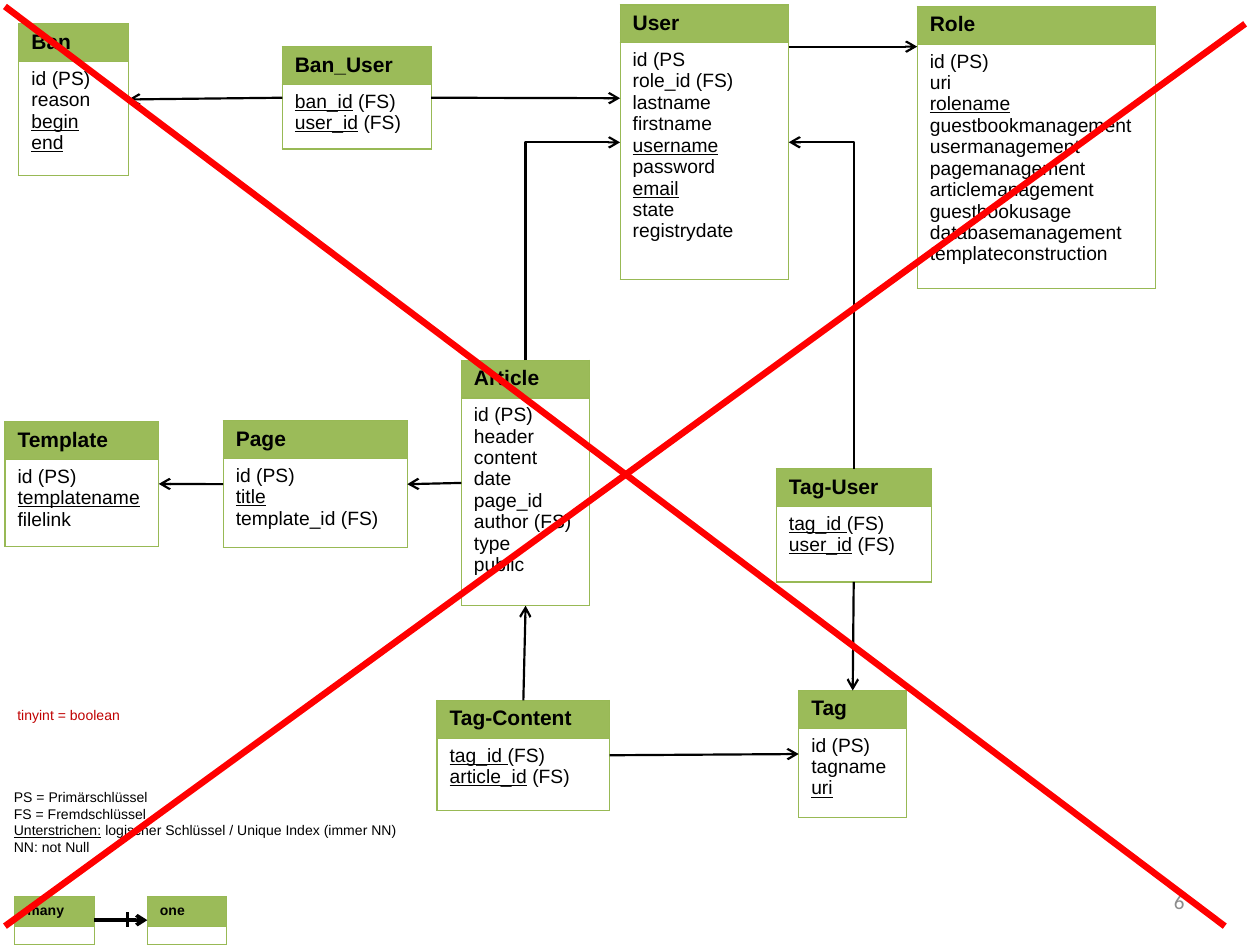
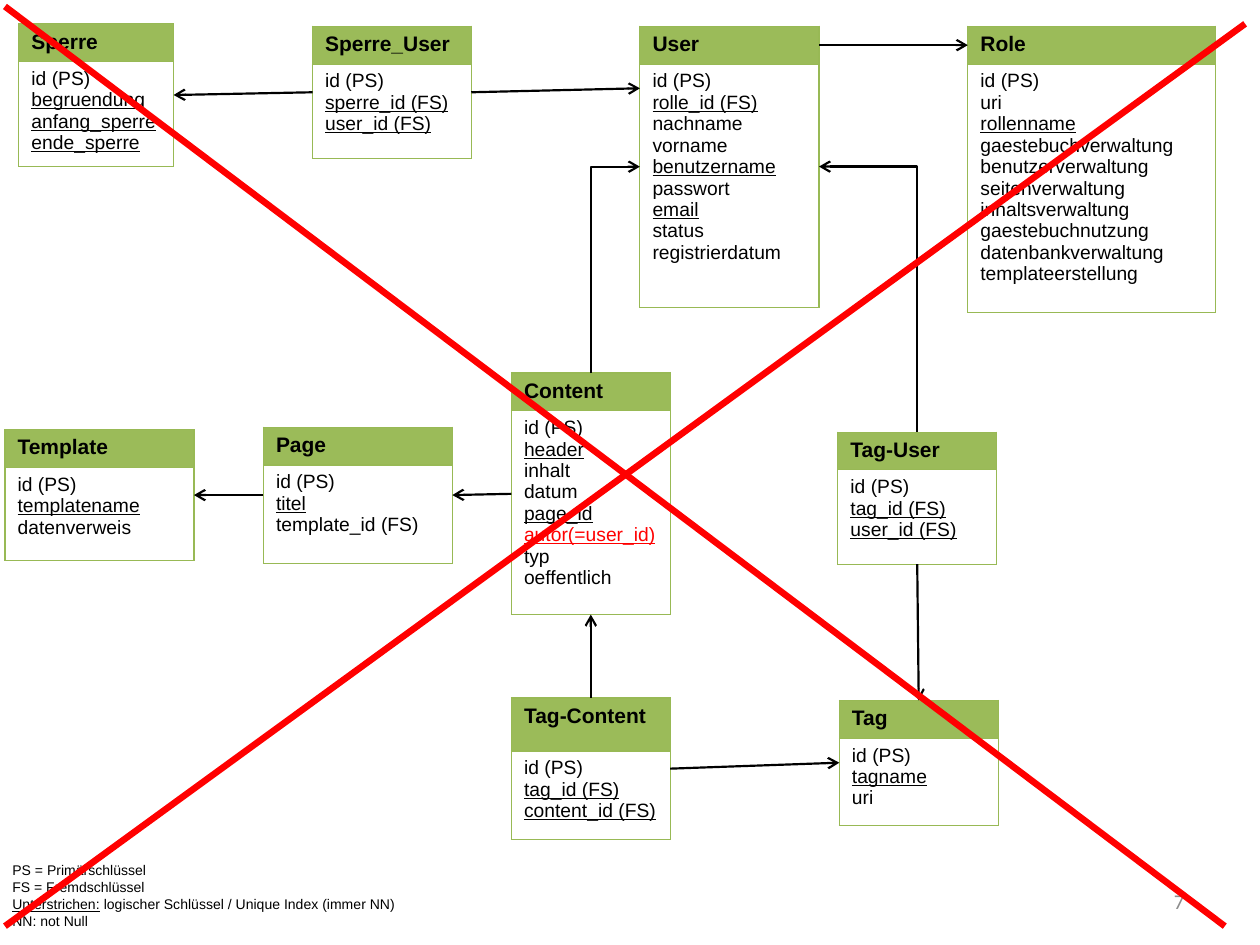
"""Draw two crossed-out database schemas, one in English and one in German."""
from dataclasses import dataclass
from typing import Any

from lxml.etree import SubElement as Sub
from pptx import Presentation
from pptx.dml.color import RGBColor as Rgb
from pptx.enum.shapes import MSO_CONNECTOR as Kind
from pptx.enum.text import MSO_ANCHOR as Anchor, PP_ALIGN as Align
from pptx.oxml.ns import qn
from pptx.util import Cm, Pt

HUES = {
    "head": "9BBB59",
    "edge": "98B955",
    "ink": "000000",
    "alert": "FF0000",
    "note": "C00000",
    "page": "8C8C8C",
}
TOP, LEFT, BOTTOM, RIGHT = range(4)
LINKS = (
    ("ban_user", LEFT, "ban", RIGHT),
    ("tag_user", BOTTOM, "tag", TOP),
    ("tag_text", RIGHT, "tag", LEFT),
    ("tag_text", TOP, "text", BOTTOM),
    ("text", LEFT, "page", RIGHT),
    ("page", LEFT, "form", RIGHT),
)
CROSS = ((0.1, 0.13, 24.69, 18.67), (0.1, 18.67, 25.1, 0.48))
LEGEND = (
    "PS = Primärschlüssel",
    "FS = Fremdschlüssel",
    "*Unterstrichen:* logischer Schlüssel / Unique Index (immer NN)",
    "NN: not Null",
)


@dataclass(frozen=True)
class Box:
    """An entity; text between stars is underlined, a leading ! makes it red."""
    key: str
    name: str
    left: float
    top: float
    width: float
    body: float
    rows: tuple[str, ...] = ()
    head: float = 0.76
    size: int = 12

    def mid(self, side: int) -> tuple[float, float]:
        """Return the middle of one side."""
        tall = self.head + self.body
        x = {LEFT: 0, RIGHT: self.width}.get(side, self.width / 2)
        y = {TOP: 0, BOTTOM: tall}.get(side, tall / 2)
        return self.left + x, self.top + y


@dataclass(frozen=True)
class Sheet:
    """One schema slide."""
    page: str
    boxes: tuple[Box, ...]
    user_y: float
    role_y: float
    legend: tuple[float, float]


ENGLISH = Sheet("6", (
    Box("ban_user", "Ban_User", 5.69, 0.94, 3, 1.3,
        ("*ban_id* (FS)", "*user_id* (FS)")),
    Box("ban", "Ban", 0.38, 0.48, 2.21, 2.29,
        ("id (PS)", "reason", "*begin", "*end")),
    Box("one", "one", 2.97, 18.08, 1.6, 0.36, head=0.58, size=8),
    Box("many", "many", 0.3, 18.08, 1.6, 0.36, head=0.58, size=8),
    Box("user", "User", 12.5, 0.1, 3.4, 4.78,
        ("id (PS", "role_id (FS)", "lastname", "firstname", "*username",
         "password", "*email", "state", "registrydate")),
    Box("role", "Role", 18.49, 0.13, 4.8, 4.9,
        ("id (PS)", "uri", "*rolename", "guestbookmanagement",
         "usermanagement", "pagemanagement", "articlemanagement",
         "guestbookusage", "databasemanagement", "templateconstruction")),
    Box("text", "Article", 9.3, 7.26, 2.59, 4.19,
        ("id (PS)", "header", "content", "date", "page_id", "author (FS)",
         "type", "public")),
    Box("page", "Page", 4.5, 8.48, 3.71, 1.8,
        ("id (PS)", "*title", "template_id (FS)")),
    Box("form", "Template", 0.1, 8.5, 3.1, 1.75,
        ("id (PS)", "*templatename", "filelink")),
    Box("tag_user", "Tag-User", 15.65, 9.45, 3.12, 1.52,
        ("*tag_id *(FS)", "*user_id* (FS)")),
    Box("tag_text", "Tag-Content", 8.81, 14.12, 3.48, 1.45,
        ("*tag_id *(FS)", "*article_id* (FS)")),
    Box("tag", "Tag", 16.1, 13.92, 2.18, 1.8,
        ("id (PS)", "tagname", "*uri")),
), 1.98, 0.94, (0.03, 15.77))

GERMAN = Sheet("7", (
    Box("ban_user", "Sperre_User", 6.3, 0.53, 3.2, 1.9,
        ("id (PS)", "*sperre_id (FS)", "*user_id (FS)")),
    Box("ban", "Sperre", 0.38, 0.48, 3.12, 2.11,
        ("id (PS)", "*begruendung", "*anfang_sperre", "*ende_sperre")),
    Box("user", "User", 12.9, 0.53, 3.61, 4.9,
        ("id (PS)", "*rolle_id (FS)", "nachname", "vorname", "*benutzername",
         "passwort", "*email", "status", "registrierdatum")),
    Box("role", "Role", 19.51, 0.53, 5, 5,
        ("id (PS)", "uri", "*rollenname", "gaestebuchverwaltung",
         "benutzerverwaltung", "seitenverwaltung", "inhaltsverwaltung",
         "gaestebuchnutzung", "datenbankverwaltung", "templateerstellung")),
    Box("text", "Content", 10.31, 7.52, 3.2, 4.11,
        ("id (PS)", "*header", "inhalt", "datum", "*page_id",
         "!*autor(=user_id)", "typ", "oeffentlich")),
    Box("page", "Page", 5.31, 8.61, 3.81, 1.98,
        ("id (PS)", "*titel", "template_id (FS)")),
    Box("form", "Template", 0.1, 8.66, 3.81, 1.88,
        ("id (PS)", "*templatename", "datenverweis")),
    Box("tag_user", "Tag-User", 16.89, 8.71, 3.2, 1.9,
        ("id (PS)", "*tag_id (FS)", "*user_id (FS)")),
    Box("tag_text", "Tag-Content", 10.31, 14.07, 3.2, 1.78,
        ("id (PS)", "*tag_id (FS)", "*content_id (FS)"), head=1.07),
    Box("tag", "Tag", 16.92, 14.12, 3.2, 1.75,
        ("id (PS)", "*tagname", "uri")),
), 1.78, 0.91, (0, 17.25))


def write(frame: Any, lines: tuple[str, ...], size: int, hue: str = "ink",
          bold: bool = False, font: str = "Arial") -> None:
    """Fill a text frame and format its runs."""
    frame.text = "\n".join(lines)
    for par in frame.paragraphs:
        raw = par.text
        tone = "alert" if raw.startswith("!") else hue
        bits = [(bit, bool(i % 2))
                for i, bit in enumerate(raw.lstrip("!").split("*")) if bit]
        par.text = bits[0][0]
        for bit, _ in bits[1:]:
            par.add_run().text = bit
        for run, (_, under) in zip(par.runs, bits):
            run.font.name, run.font.size = font, Pt(size)
            run.font.bold, run.font.underline = bold, under
            run.font.color.rgb = Rgb.from_string(HUES[tone])


def border(cell: Any) -> None:
    """Give a cell a thin edge on all sides, placed before its fill."""
    props = cell._tc.get_or_add_tcPr()
    for i, side in enumerate(("lnL", "lnR", "lnT", "lnB")):
        edge = Sub(props, qn(f"a:{side}"), w=str(Pt(0.75)))
        Sub(Sub(edge, qn("a:solidFill")), qn("a:srgbClr"), val=HUES["edge"])
        props.insert(i, edge)


def entity(shapes: Any, box: Box) -> Any:
    """Draw an entity as a two-row table."""
    frame = shapes.add_table(2, 1, Cm(box.left), Cm(box.top), Cm(box.width),
                             Cm(box.head + box.body))
    grid = frame.table
    grid.first_row = grid.horz_banding = False
    for row, tall in zip(grid.rows, (box.head, box.body)):
        row.height = Cm(tall)
    head, body = grid.cell(0, 0), grid.cell(1, 0)
    head.fill.solid()
    head.fill.fore_color.rgb = Rgb.from_string(HUES["head"])
    body.fill.background()
    border(head)
    border(body)
    write(head.text_frame, (box.name,), box.size, bold=True)
    if box.rows:
        write(body.text_frame, box.rows, 11)
    else:
        body.margin_top = body.margin_bottom = Cm(0)
        end = body.text_frame.paragraphs[0]._p.get_or_add_endParaRPr()
        end.set("sz", "200")
    return frame


def line(shapes: Any, ends: tuple[float, ...], width: float = 1.25,
         hue: str = "ink", arrow: bool = True, kind: Any = Kind.STRAIGHT) -> Any:
    """Draw a connector without shadow."""
    wire = shapes.add_connector(kind, *map(Cm, ends))
    wire.line.width = Pt(width)
    wire.line.color.rgb = Rgb.from_string(HUES[hue])
    if arrow:
        Sub(wire.line._get_or_add_ln(), qn("a:tailEnd"), type="arrow")
    Sub(wire._element.spPr, qn("a:effectLst"))
    return wire


def elbow(shapes: Any, start: tuple[float, float],
          end: tuple[float, float]) -> None:
    """Draw an arrow that goes up and then sideways."""
    (x1, y1), (x2, y2) = start, end
    wide, tall = abs(y2 - y1), abs(x2 - x1)
    left, top = (x1 + x2 - wide) / 2, (y1 + y2 - tall) / 2
    ys = (top + tall, top) if x2 < x1 else (top, top + tall)
    wire = line(shapes, (left, ys[0], left + wide, ys[1]), kind=Kind.ELBOW)
    props = wire._element.spPr
    props.find(qn("a:xfrm")).set("rot", "16200000")
    props.find(qn("a:prstGeom")).set("prst", "bentConnector2")


def label(shapes: Any, area: tuple[float, ...], wrap: bool = True) -> Any:
    """Add a text box and return its frame."""
    frame = shapes.add_textbox(*map(Cm, area)).text_frame
    frame.word_wrap = wrap
    return frame


def draw(deck: Any, sheet: Sheet) -> None:
    """Build one schema slide."""
    shapes = deck.slides.add_slide(deck.slide_layouts[6]).shapes
    page = label(shapes, (18.21, 17.65, 5.92, 1.02))
    page.vertical_anchor = Anchor.MIDDLE
    write(page, (sheet.page,), 12, "page", font="Calibri")
    page.paragraphs[0].alignment = Align.RIGHT

    boxes = {box.key: box for box in sheet.boxes}
    frames = {key: entity(shapes, box) for key, box in boxes.items()}

    def join(src: str, out: int, dst: str, into: int,
             width: float = 1.25) -> None:
        """Join two entities with an arrow."""
        ends = boxes[src].mid(out) + boxes[dst].mid(into)
        wire = line(shapes, ends, width)
        wire.begin_connect(frames[src], out)
        wire.end_connect(frames[dst], into)

    for link in LINKS:
        join(*link)
    user, role = boxes["user"], boxes["role"]
    wire = line(shapes, boxes["ban_user"].mid(RIGHT) + (user.left, sheet.user_y))
    wire.begin_connect(frames["ban_user"], RIGHT)
    line(shapes, (user.left + user.width, sheet.role_y, role.left, sheet.role_y))
    elbow(shapes, boxes["tag_user"].mid(TOP), user.mid(RIGHT))
    elbow(shapes, boxes["text"].mid(TOP), user.mid(LEFT))

    write(label(shapes, (*sheet.legend, 8.51, 1.63)), LEGEND, 8)
    if "many" in boxes:
        join("many", RIGHT, "one", LEFT, 2)
        line(shapes, (2.57, 18.39, 2.57, 18.69), 2, arrow=False)
        note = label(shapes, (0.1, 14.12, 2.69, 0.61), wrap=False)
        write(note, ("tinyint = boolean",), 8, "note")
    group = shapes.add_group_shape().shapes
    for ends in CROSS:
        line(group, ends, 3.75, "alert", arrow=False)


def main() -> None:
    """Build and save the deck."""
    deck = Presentation()
    deck.slide_width, deck.slide_height = Cm(25.4), Cm(19.05)
    for sheet in (ENGLISH, GERMAN):
        draw(deck, sheet)
    deck.save("out.pptx")


if __name__ == "__main__":
    main()
